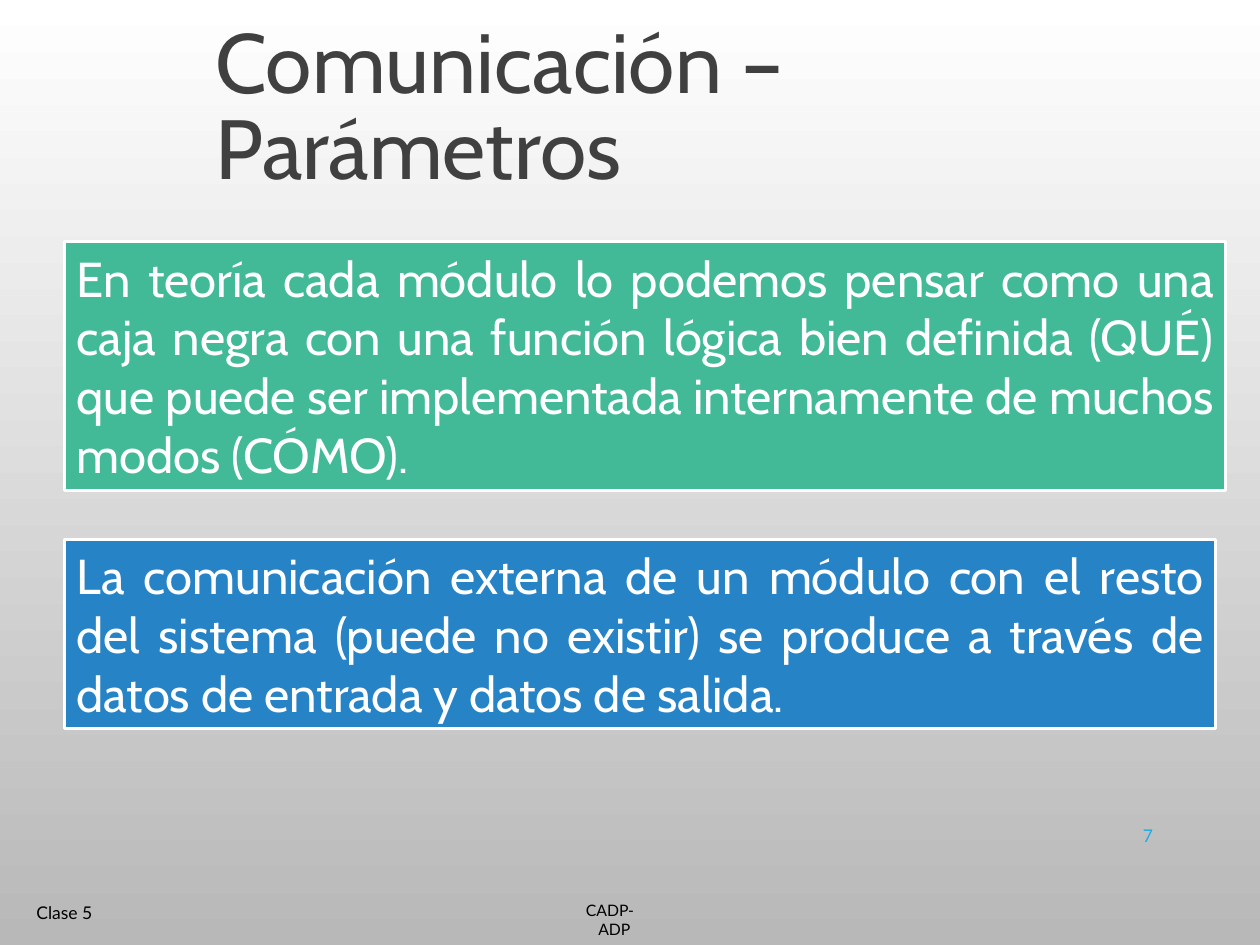
from pptx import Presentation
from pptx.dml.color import RGBColor
from pptx.enum.shapes import MSO_SHAPE
from pptx.enum.text import MSO_ANCHOR, MSO_AUTO_SIZE, PP_ALIGN
from pptx.util import Inches, Pt

RECTANGLE = MSO_SHAPE.RECTANGLE
TOP, MIDDLE = MSO_ANCHOR.TOP, MSO_ANCHOR.MIDDLE
LEFT, RIGHT, JUSTIFY = PP_ALIGN.LEFT, PP_ALIGN.RIGHT, PP_ALIGN.JUSTIFY
TITLE_ONLY = 5

# Content: boxes are left, top, width, height in inches
TITLE = "Comunicación – Parámetros"
TITLE_BOX = (1.61, 0.15, 7.8, 0.84)
BACKGROUND = ("FFFFFF", "B8B8B8")
PANELS = [
    ("En teoría cada módulo lo podemos pensar como una caja negra con una "
     "función lógica bien definida (QUÉ) que puede ser implementada "
     "internamente de muchos modos (CÓMO).",
     (0.51, 1.92, 9.22, 1.97), "42BA97"),
    ("La comunicación externa de un módulo con el resto del sistema (puede "
     "no existir) se produce a través de datos de entrada y datos de salida.",
     (0.51, 4.28, 9.14, 1.5), "2683C6"),
]
FOOTERS = [
    ("Clase 5", (-0.01, 7.04, 0.84, 0.41), 10, "000000"),
    ("7", (8.62, 6.43, 0.63, 0.4), 10, "1CADE4"),
    ("CADP- ADP ", (4.29, 7.1, 0.84, 0.4), 9, "000000"),
]


def rgb(color):
    return RGBColor.from_string(color)


def inches(box):
    return [Inches(value) for value in box]


def write(shape, text, font, size, color, align, anchor):
    frame = shape.text_frame
    frame.text = text
    frame.word_wrap = True
    frame.auto_size = MSO_AUTO_SIZE.NONE
    frame.vertical_anchor = anchor
    paragraph = frame.paragraphs[0]
    paragraph.alignment = align
    paragraph.font.name = font
    paragraph.font.size = Pt(size)
    paragraph.font.color.rgb = rgb(color)
    return paragraph


prs = Presentation()
prs.slide_width, prs.slide_height = Inches(10), Inches(7.5)
slide = prs.slides.add_slide(prs.slide_layouts[TITLE_ONLY])

# Background fading downwards
backdrop = slide.background.fill
backdrop.gradient()
backdrop.gradient_angle = 270
for stop, position, color in zip(backdrop.gradient_stops, (0, 1), BACKGROUND):
    stop.position = position
    stop.color.rgb = rgb(color)

# Title
title = slide.shapes.title
title.left, title.top, title.width, title.height = inches(TITLE_BOX)
heading = write(title, TITLE, "Cabin", 48, "404040", LEFT, TOP)
heading.line_spacing = 0.85

# Coloured panels
for text, box, color in PANELS:
    panel = slide.shapes.add_shape(RECTANGLE, *inches(box))
    panel.shadow.inherit = False
    panel.fill.solid()
    panel.fill.fore_color.rgb = rgb(color)
    panel.line.color.rgb = rgb("FFFFFF")
    panel.line.width = Pt(1.75)
    write(panel, text, "Cabin", 28, "FFFFFF", JUSTIFY, TOP)

# Class, slide number and course
for text, box, size, color in FOOTERS:
    footer = slide.shapes.add_textbox(*inches(box))
    write(footer, text, "Lato", size, color, RIGHT, MIDDLE)

prs.save("out.pptx")
